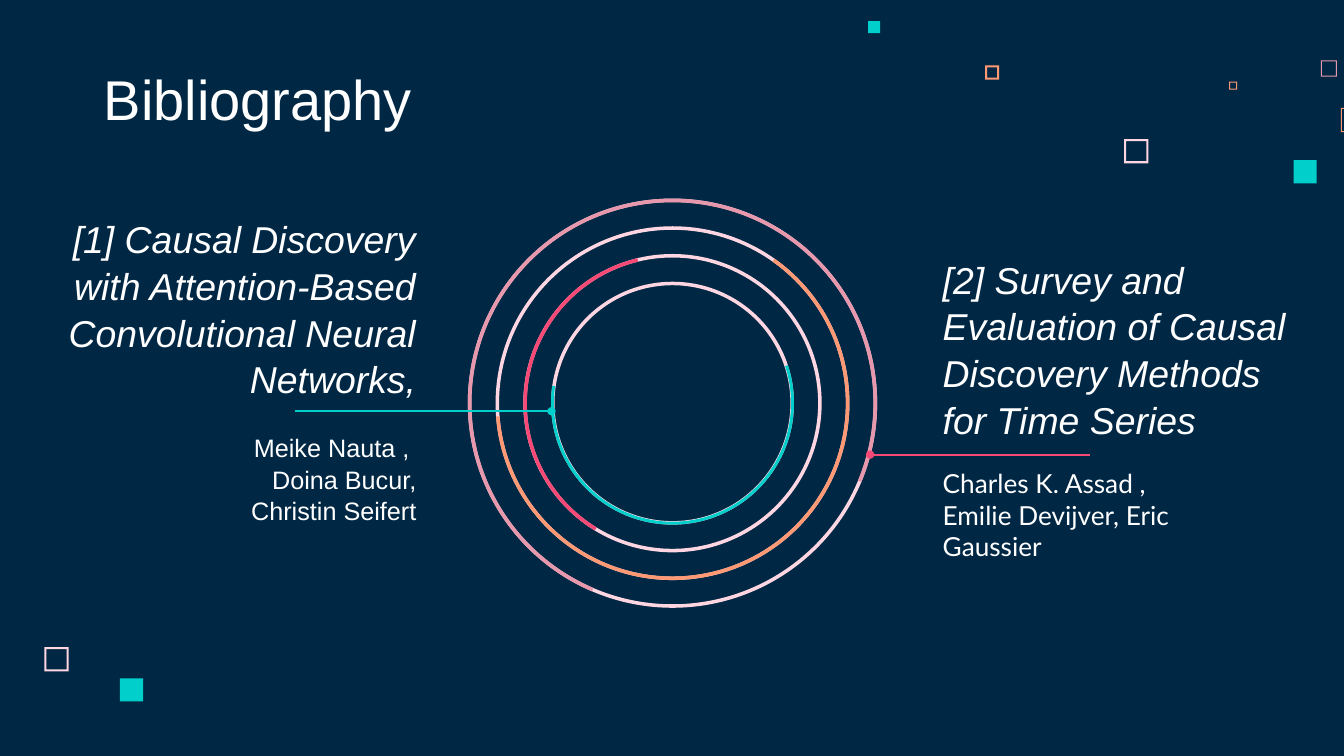
from pptx import Presentation
from pptx.dml.color import RGBColor
from pptx.enum.shapes import MSO_CONNECTOR, MSO_SHAPE
from pptx.enum.text import MSO_ANCHOR, PP_ALIGN
from pptx.oxml.ns import qn
from pptx.util import Inches, Pt
from lxml.etree import SubElement

# Content: each paragraph is (text, format)
NAVY, WHITE, BLUSH, ROSE = "002845", "FFFFFF", "FFD6E1", "E898AC"
CORAL, TEAL, RED = "FF9973", "00CFCC", "F64975"
TITLE = [("Bibliography", dict(size=40))]
FIRST = [
    ("[1] Causal Discovery with Attention-Based Convolutional Neural Networks,",
     dict(size=26.7, italic=True, space=1.04)),
    ("Meike Nauta , \vDoina Bucur,\vChristin Seifert",
     dict(size=18, space=1.05, before=21)),
]
SECOND = [("[2] Survey and Evaluation of Causal Discovery Methods for Time Series",
           dict(size=26.7, italic=True, space=1.04))]
AUTHORS = [("Charles K. Assad , Emilie Devijver, Eric Gaussier",
            dict(size=18.7, font="Lato"))]

# Small squares: left, top, side, colour, border (0 is solid)
SQUARES = [
    (11.15, 1.38, 0.24, BLUSH, 0.02), (13.1, 0.6, 0.16, ROSE, 0.01),
    (12.19, 0.81, 0.08, CORAL, 0.01), (13.3, 1.07, 0.24, CORAL, 0.01),
    (12.83, 1.59, 0.23, TEAL, 0), (9.77, 0.65, 0.14, CORAL, 0.02),
    (8.61, 0.21, 0.12, TEAL, 0), (0.44, 6.42, 0.24, BLUSH, 0.02),
    (1.19, 6.73, 0.23, TEAL, 0),
]
# Rings from the outside in: arc colour, turn, start, end, depth
MID_X, MID_Y, RADIUS, STEP, BAND = 6.67, 4, 2.03, 0.275, 0.035
ARCS = [
    (ROSE, 210, 157.91, 103.6, 0.009),
    (CORAL, 0, 183.14, 105.39, 0.01),
    (RED, 81.2, 24.12, 105.1, 0.012),
    (TEAL, 13.1, 197.21, 105.1, 0.012),
]
# Pointers: start x, end x, y, colour
POINTERS = [(2.93, 5.47, 4.08, TEAL), (10.81, 8.63, 4.51, RED)]

deck = Presentation()
deck.slide_width, deck.slide_height = Inches(13.33), Inches(7.5)
slide = deck.slides.add_slide(deck.slide_layouts[6])


def paint(fill, color):
    fill.solid()
    fill.fore_color.rgb = RGBColor.from_string(color)


def draw(kind, x, y, side, color, *adjust, turn=0):
    shape = slide.shapes.add_shape(kind, *map(Inches, (x, y, side, side)))
    shape.shadow.inherit = False
    shape.line.fill.background()
    paint(shape.fill, color)
    shape.rotation = turn
    for i, value in enumerate(adjust):
        shape.adjustments[i] = value


def write(paras, *area, align=PP_ALIGN.LEFT, anchor=MSO_ANCHOR.TOP):
    frame = slide.shapes.add_textbox(*map(Inches, area)).text_frame
    frame.word_wrap, frame.vertical_anchor = True, anchor
    frame.margin_left = frame.margin_right = Inches(0.13)
    frame.margin_top = frame.margin_bottom = Inches(0.13)
    for i, (text, style) in enumerate(paras):
        para = frame.add_paragraph() if i else frame.paragraphs[0]
        para.text, para.alignment = text, align
        para.line_spacing = style.get("space", 1.0)
        para.space_before = Pt(style.get("before", 0))
        for run in para.runs:
            run.font.name = style.get("font", "Arial")
            run.font.size = Pt(style["size"])
            run.font.italic = style.get("italic", False)
            paint(run.font.fill, WHITE)


def point(start, end, y, color):
    line = slide.shapes.add_connector(
        MSO_CONNECTOR.STRAIGHT, *map(Inches, (start, y, end, y)))
    line.line.width = Pt(1.5)
    paint(line.line.fill, color)
    SubElement(line.line._get_or_add_ln(), qn("a:tailEnd"), type="oval")
    SubElement(line._element.spPr, qn("a:effectLst"))


# Background and scattered squares
paint(slide.background.fill, NAVY)
for x, y, side, color, edge in SQUARES:
    if edge:
        draw(MSO_SHAPE.FRAME, x, y, side, color, edge / side)
    else:
        draw(MSO_SHAPE.RECTANGLE, x, y, side, color)

# Title and references
write(TITLE, 0.9, 0.6, 6.89, 0.84, anchor=MSO_ANCHOR.BOTTOM)
write(FIRST, 0.08, 2, 4.18, 1.84, align=PP_ALIGN.RIGHT)
write(SECOND, 9.22, 3.57, 3.94, 0.94, anchor=MSO_ANCHOR.BOTTOM)
write(AUTHORS, 9.22, 4.51, 2.74, 0.94)

# Pale rings, each with its coloured arc
for i, (color, turn, start, end, depth) in enumerate(ARCS):
    half = RADIUS - i * STEP
    place = MID_X - half, MID_Y - half, 2 * half
    draw(MSO_SHAPE.DONUT, *place, BLUSH, BAND / (2 * half))
    draw(MSO_SHAPE.BLOCK_ARC, *place, color, start, end, depth, turn=turn)

# Pointers with a dot on the ring
for pointer in POINTERS:
    point(*pointer)

deck.save("out.pptx")
